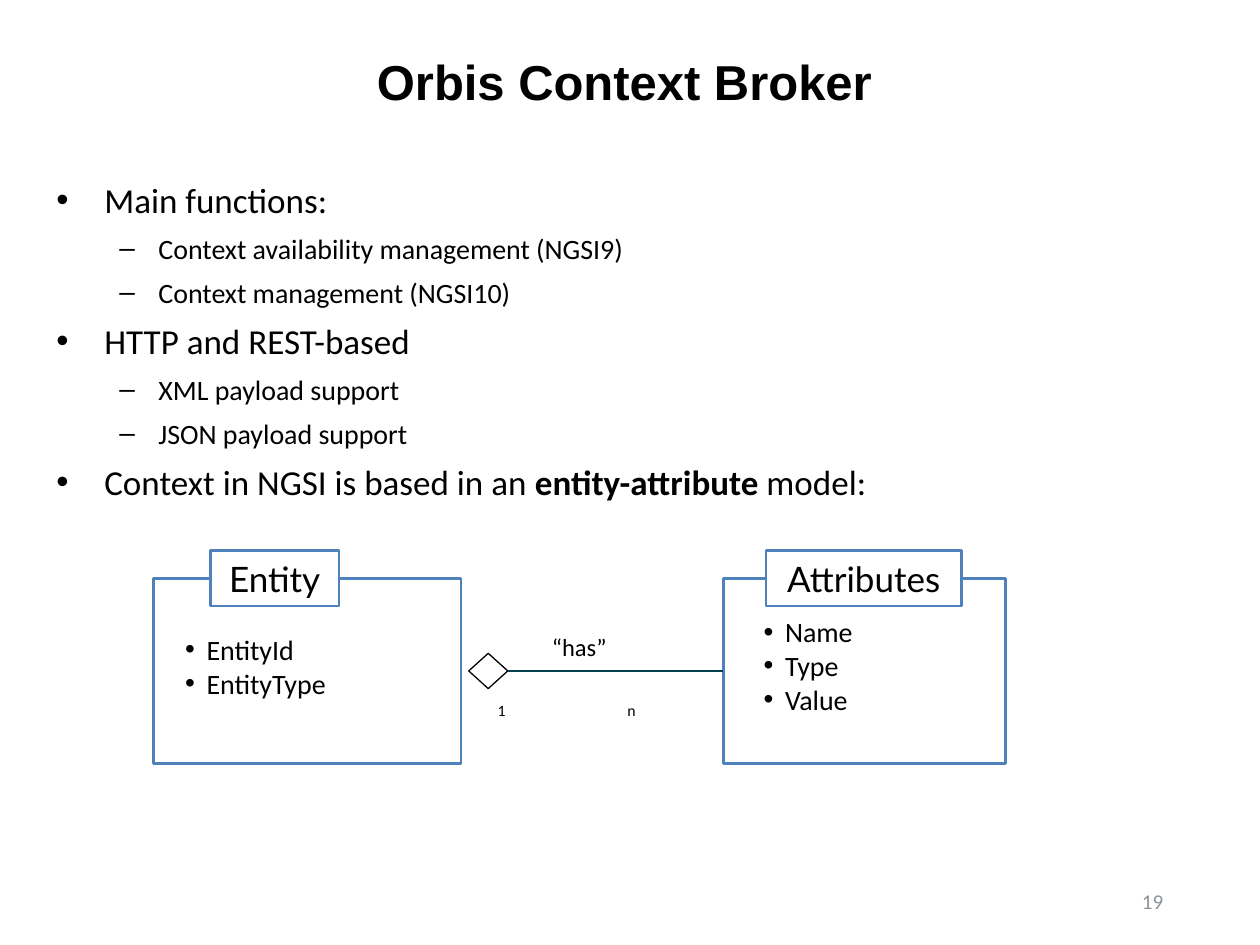
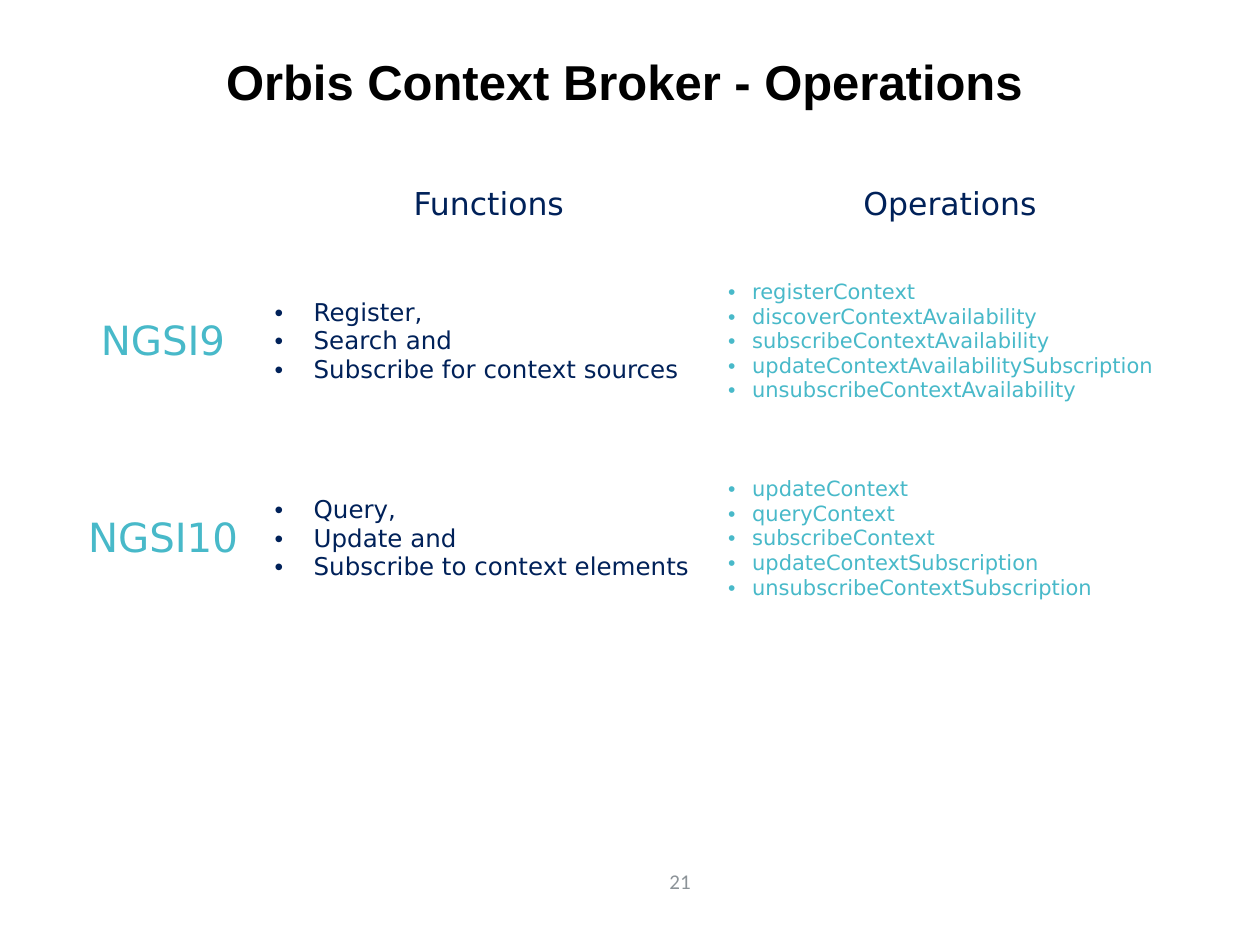
from dataclasses import dataclass

from lxml import etree
from pptx import Presentation
from pptx.dml.color import RGBColor
from pptx.enum.shapes import MSO_CONNECTOR, MSO_SHAPE
from pptx.enum.text import MSO_ANCHOR as ANCHOR, PP_ALIGN as ALIGN
from pptx.oxml.ns import qn
from pptx.util import Inches, Pt


@dataclass(frozen=True)
class Theme:
    black: str = "000000"
    white: str = "FFFFFF"
    grey: str = "8C9398"
    blue: str = "4F81BD"
    link: str = "043F52"
    navy: str = "002159"
    teal: str = "48B9C9"
    title_font: str = "Arial"
    body_font: str = "Calibri"
    label_font: str = "Lato"
    table_font: str = "DejaVu Sans"
    title: int = 28
    row_name: int = 23
    main: int = 20
    column: int = 18
    sub: int = 16
    relation: int = 14
    small: int = 12
    tiny: int = 9


T = Theme()

# Content -------------------------------------------------------------
MODEL_TITLE, MODEL_PAGE = "Orbis Context Broker", "19"
# (level, text segments); every second segment is bold
POINTS = [
    (0, ["Main functions:"]),
    (1, ["Context availability management (NGSI9)"]),
    (1, ["Context management (NGSI10)"]),
    (0, ["HTTP and REST-based"]),
    (1, ["XML payload support"]),
    (1, ["JSON payload support"]),
    (0, ["Context in NGSI is based in an ", "entity-attribute", " model:"]),
]
# name, box left and width, label left and width, list place, items
CLASSES = [
    ("Attributes", (5.74, 2.24), (6.08, 1.55), (5.97, 4.84, 1.39, 0.9),
     ["Name", "Type", "Value"]),
    ("Entity", (1.22, 2.44), (1.67, 1.02), (1.38, 4.98, 2.2, 0.64),
     ["EntityId", "EntityType"]),
]
RELATION_TEXTS = [
    ("1", (3.86, 5.52, 0.23, 0.24), T.tiny),
    ("n", (4.89, 5.52, 0.23, 0.24), T.tiny),
    ("“has”", (4.29, 4.98, 0.66, 0.33), T.relation),
]

OPERATIONS_TITLE, OPERATIONS_PAGE = "Orbis Context Broker - Operations", "21"
COLUMNS = ["", "Functions", "Operations"]
INTERFACES = [
    ("NGSI9",
     ["Register,", "Search and", "Subscribe for context sources"],
     ["registerContext", "discoverContextAvailability",
      "subscribeContextAvailability", "updateContextAvailabilitySubscription",
      "unsubscribeContextAvailability"]),
    ("NGSI10",
     ["Query,", "Update and", "Subscribe to context elements"],
     ["updateContext", "queryContext", "subscribeContext",
      "updateContextSubscription", "unsubscribeContextSubscription"]),
]

# Layout --------------------------------------------------------------
TITLE_AT = (0.5, 0.3, 8.91, 0.68)
POINTS_AT = (0.35, 1.37, 9.07, 4.65)
LEVELS = [("•", 0.38, 0.38, T.main), ("–", 0.81, 0.31, T.sub)]
BOX_TOP, BOX_HEIGHT = 4.59, 1.47
LABEL_HEIGHT = 0.44
DIAMOND_LEFT, DIAMOND_SIZE = 3.72, (0.31, 0.28)
TABLE_AT = (0.51, 1.27)
COLUMN_WIDTHS = [1.57, 3.6, 3.72]
ROW_HEIGHTS = [0.71, 1.46, 1.67]


def inches(values):
    return [Inches(v) for v in values]


def rgb(color):
    return RGBColor.from_string(color)


def style(p, size, font=T.body_font, color=T.black, bold=False, align=None):
    p.alignment = align
    for r in p.runs:
        r.font.size, r.font.name, r.font.bold = Pt(size), font, bold
        r.font.color.rgb = rgb(color)


def bullet(p, char, left, hang):
    pPr = p._p.get_or_add_pPr()
    pPr.set("marL", str(Inches(left)))
    pPr.set("indent", str(-Inches(hang)))
    etree.SubElement(pPr, qn("a:buFont")).set("typeface", "Arial")
    etree.SubElement(pPr, qn("a:buChar")).set("char", char)


def bullet_list(tf, items, indent, size, **look):
    tf.text = "\n".join(items)
    for p in tf.paragraphs:
        style(p, size, **look)
        bullet(p, "•", indent, indent)


def text_box(slide, at, text="", size=T.sub, anchor=ANCHOR.TOP, inset=(0.1, 0.05), **look):
    tf = slide.shapes.add_textbox(*inches(at)).text_frame
    tf.word_wrap, tf.vertical_anchor = True, anchor
    tf.margin_left = tf.margin_right = Inches(inset[0])
    tf.margin_top = tf.margin_bottom = Inches(inset[1])
    if text:
        tf.text = text
        style(tf.paragraphs[0], size, **look)
    return tf


def outlined(slide, kind, at, line, width, fill=None):
    sp = slide.shapes.add_shape(kind, *inches(at))
    sp.shadow.inherit = False
    sp.line.color.rgb, sp.line.width = rgb(line), Pt(width)
    if fill:
        sp.fill.solid()
        sp.fill.fore_color.rgb = rgb(fill)
    else:
        sp.fill.background()
    return sp


def new_slide(prs, title, page, page_at):
    s = prs.slides.add_slide(prs.slide_layouts[6])
    text_box(s, TITLE_AT, title, T.title, ANCHOR.MIDDLE,
             font=T.title_font, bold=True, align=ALIGN.CENTER)
    text_box(s, (*page_at, 1.13, 0.4), page, T.small, ANCHOR.MIDDLE,
             color=T.grey, align=ALIGN.RIGHT)
    return s


def add_points(slide):
    tf = text_box(slide, POINTS_AT)
    for i, (level, segments) in enumerate(POINTS):
        p = tf.add_paragraph() if i else tf.paragraphs[0]
        char, left, hang, size = LEVELS[level]
        for segment in segments:
            p.add_run().text = segment
        p.level = level
        p.space_before = p.space_after = Pt(3)
        style(p, size)
        for r in p.runs[1::2]:
            r.font.bold = True
        bullet(p, char, left, hang)


def add_class(slide, name, box, label, list_at, items):
    """Draw a box with its name on the top edge and return the box."""
    frame = outlined(slide, MSO_SHAPE.RECTANGLE,
                     (box[0], BOX_TOP, box[1], BOX_HEIGHT), T.blue, 1.5)
    label_at = (label[0], BOX_TOP - LABEL_HEIGHT / 2, label[1], LABEL_HEIGHT)
    tf = outlined(slide, MSO_SHAPE.RECTANGLE, label_at, T.blue, 1.5, T.white).text_frame
    tf.margin_left = tf.margin_right = tf.margin_top = tf.margin_bottom = 0
    tf.word_wrap, tf.vertical_anchor = False, ANCHOR.MIDDLE
    tf.text = name
    style(tf.paragraphs[0], T.main, font=T.label_font, align=ALIGN.CENTER)
    bullet_list(text_box(slide, list_at, inset=(0.09, 0.04)), items, 0.17, T.sub)
    return frame


def add_relation(slide, target):
    width, height = DIAMOND_SIZE
    top = BOX_TOP + (BOX_HEIGHT - height) / 2
    diamond = outlined(slide, MSO_SHAPE.DIAMOND, (DIAMOND_LEFT, top, width, height),
                       T.black, 0.75, T.white)
    line = slide.shapes.add_connector(MSO_CONNECTOR.STRAIGHT, 0, 0, 0, 0)
    line.begin_connect(diamond, 3)
    line.end_connect(target, 1)
    line.line.color.rgb, line.line.width = rgb(T.link), Pt(0.75)
    etree.SubElement(line._element.spPr, qn("a:effectLst"))
    for text, at, size in RELATION_TEXTS:
        text_box(slide, at, text, size, inset=(0.09, 0.04))


def add_operations(slide):
    size = (sum(COLUMN_WIDTHS), sum(ROW_HEIGHTS))
    table = slide.shapes.add_table(len(ROW_HEIGHTS), len(COLUMN_WIDTHS),
                                   *inches(TABLE_AT + size)).table
    table.first_row = table.horz_banding = False
    for column, width in zip(table.columns, COLUMN_WIDTHS):
        column.width = Inches(width)
    for row, height in zip(table.rows, ROW_HEIGHTS):
        row.height = Inches(height)
    for cell in table.iter_cells():
        cell.fill.background()
        cell.vertical_anchor = ANCHOR.MIDDLE

    def heading(row, col, text, size, color):
        tf = table.cell(row, col).text_frame
        tf.text = text
        style(tf.paragraphs[0], size, T.table_font, color, align=ALIGN.CENTER)

    for col, text in enumerate(COLUMNS):
        heading(0, col, text, T.column, T.navy)
    for row, (name, functions, operations) in enumerate(INTERFACES, 1):
        heading(row, 0, name, T.row_name, T.teal)
        bullet_list(table.cell(row, 1).text_frame, functions, 0.31, T.relation,
                    font=T.table_font, color=T.navy)
        bullet_list(table.cell(row, 2).text_frame, operations, 0.19, T.small,
                    font=T.table_font, color=T.teal)


def main():
    prs = Presentation()
    prs.slide_width, prs.slide_height = Inches(10), Inches(7.5)

    s = new_slide(prs, MODEL_TITLE, MODEL_PAGE, (8.2, 6.95))
    add_points(s)
    attributes, _ = [add_class(s, *c) for c in CLASSES]
    add_relation(s, attributes)

    s = new_slide(prs, OPERATIONS_TITLE, OPERATIONS_PAGE, (4.45, 6.79))
    add_operations(s)

    prs.save("out.pptx")


if __name__ == "__main__":
    main()
